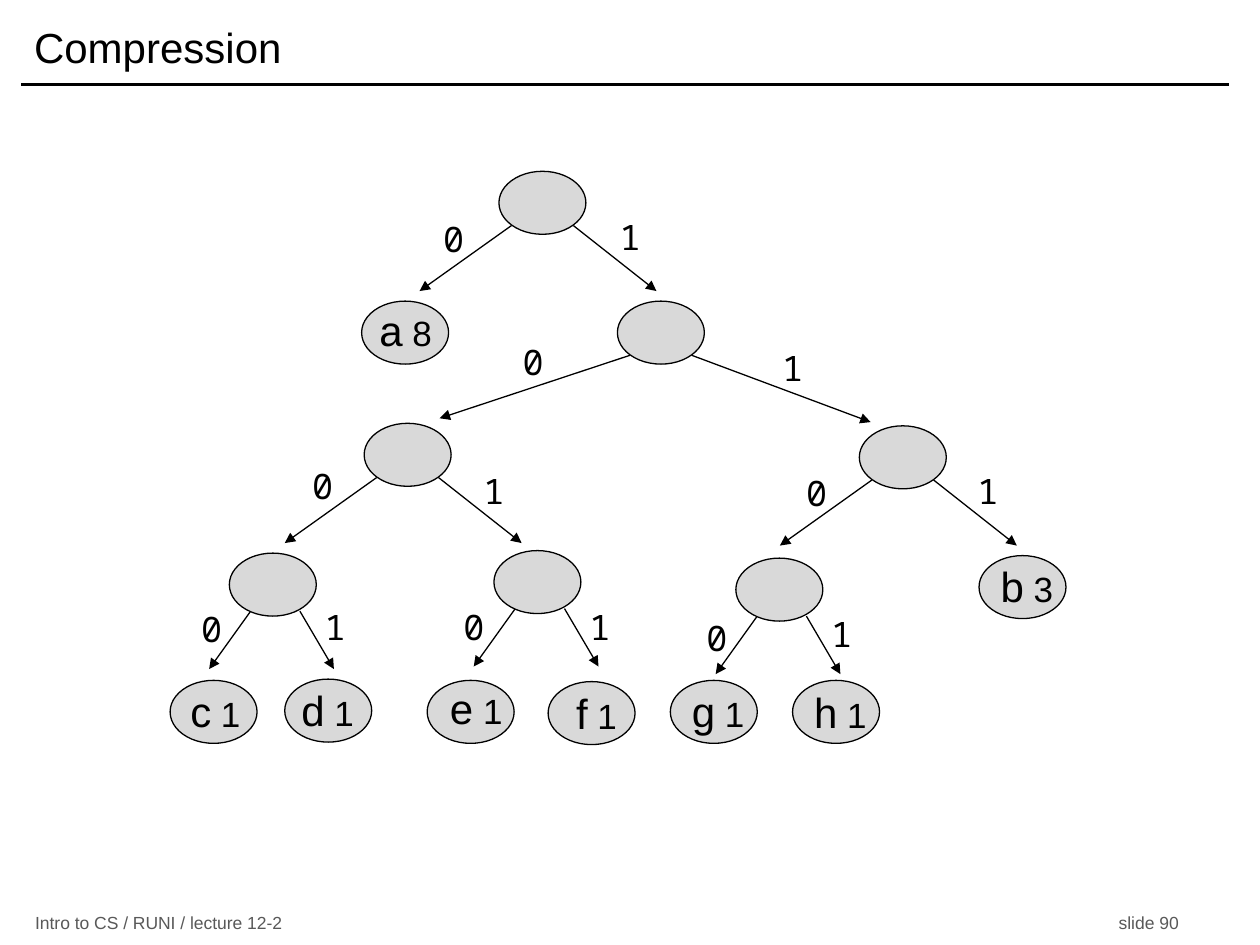
from lxml.etree import SubElement
from pptx import Presentation
from pptx.dml.color import RGBColor
from pptx.enum.shapes import MSO_CONNECTOR as Connector, MSO_SHAPE as Shape
from pptx.enum.text import MSO_ANCHOR as Anchor, MSO_AUTO_SIZE as AutoSize, PP_ALIGN as Align
from pptx.oxml.ns import qn
from pptx.util import Inches, Pt

BLACK = RGBColor(0x00, 0x00, 0x00)
GRAY = RGBColor(0xD9, 0xD9, 0xD9)
FOOTER_GRAY = RGBColor(0x59, 0x59, 0x59)
SANS, MONO = "Arial", "Noto Sans Mono"
NODE_WIDTH, NODE_HEIGHT = 0.69, 0.5

LETTER = {"name": SANS, "size": Pt(24)}
COUNT = {"name": SANS, "size": Pt(20)}
BIT = {"name": MONO, "size": Pt(20)}
FOOTER = {"name": SANS, "size": Pt(10)}

NARROW = [((0.17, 0.46), (-0.16, 0.92)), ((0.56, 0.46), (0.83, 0.92))]
MEDIUM = [((0.10, 0.43), (-0.63, 0.95)), ((0.59, 0.43), (1.25, 0.95))]
WIDE = [((0.10, 0.43), (-1.41, 0.93)), ((0.59, 0.43), (2.01, 0.96))]

BRANCHES = [
    (5.84, 4.43, NARROW, [(-0.31, 0.41), (0.68, 0.38)]),
    (1.82, 4.39, NARROW, [(-0.30, 0.38), (0.68, 0.37)]),
    (3.92, 4.37, NARROW, [(-0.32, 0.39), (0.68, 0.39)]),
    (2.89, 3.36, MEDIUM, [(-0.49, 0.28), (0.87, 0.32)]),
    (6.82, 3.38, MEDIUM, [(-0.50, 0.31), (0.86, 0.30)]),
    (4.90, 2.39, WIDE, [(-0.83, 0.26), (1.23, 0.31)]),
    (3.96, 1.36, MEDIUM, [(-0.52, 0.32), (0.88, 0.30)]),
]

LEAVES = [
    ("c", 1, 1.35, 5.40, (0.06, -0.01, 0.60)),
    ("d", 1, 2.26, 5.39, (0.03, -0.01, 0.62)),
    ("e", 1, 3.39, 5.40, (0.08, -0.03, 0.62)),
    ("f", 1, 4.35, 5.41, (0.12, 0, 0.53)),
    ("g", 1, 5.32, 5.40, (0.07, -0.01, 0.62)),
    ("h", 1, 6.29, 5.40, (0.07, 0, 0.62)),
    ("a", 8, 2.87, 2.39, (0.04, -0.02, 0.62)),
    ("b", 3, 7.77, 4.41, (0.07, -0.01, 0.62)),
]


def set_font(font, style, color=BLACK):
    for name, value in style.items():
        setattr(font, name, value)
    font.color.rgb = color


def add_text(slide, left, top, width, height, runs, frame_format):
    box = slide.shapes.add_textbox(*map(Inches, (left, top, width, height)))
    for name, value in frame_format.items():
        setattr(box.text_frame, name, value)
    paragraph = box.text_frame.paragraphs[0]
    paragraph.alignment = Align.CENTER
    for text, style in runs:
        run = paragraph.add_run()
        run.text = text
        set_font(run.font, style)


def add_line(slide, start, end, weight, arrow=False):
    line = slide.shapes.add_connector(Connector.STRAIGHT, *map(Inches, (*start, *end)))
    line.line.color.rgb = BLACK
    line.line.width = Pt(weight)
    properties = line._element.spPr
    if arrow:
        SubElement(properties.find(qn("a:ln")), qn("a:tailEnd"), type="triangle")
    SubElement(properties, qn("a:effectLst"))


def add_node(slide, left, top):
    node = slide.shapes.add_shape(
        Shape.OVAL, *map(Inches, (left, top, NODE_WIDTH, NODE_HEIGHT)))
    node.shadow.inherit = False
    node.fill.solid()
    node.fill.fore_color.rgb = GRAY
    node.line.color.rgb = BLACK
    node.line.width = Pt(0.75)


def add_leaf(slide, letter, count, left, top, text_box):
    add_node(slide, left, top)
    shift_x, shift_y, width = text_box
    add_text(slide, left + shift_x, top + shift_y, width, NODE_HEIGHT,
             [(letter, LETTER), (f" {count}", COUNT)],
             {"word_wrap": False, "auto_size": AutoSize.SHAPE_TO_FIT_TEXT})


def add_branch(slide, left, top, arrows, labels):
    for start, end in arrows:
        add_line(slide, (left + start[0], top + start[1]),
                 (left + end[0], top + end[1]), 0.75, arrow=True)
    for bit, (shift_x, shift_y) in zip("01", labels):
        add_text(slide, left + shift_x, top + shift_y, 0.32, 0.44, [(bit, BIT)],
                 {"word_wrap": True, "margin_left": 0, "margin_right": 0,
                  "auto_size": AutoSize.SHAPE_TO_FIT_TEXT})
    add_node(slide, left, top)


def add_header(slide, left, top, width, height):
    title = slide.shapes.title
    box = {"left": left, "top": top, "width": width, "height": height}
    for name, value in box.items():
        setattr(title, name, Inches(value))
    frame = title.text_frame
    frame.text = "Compression"
    frame.vertical_anchor = Anchor.MIDDLE
    frame.auto_size = AutoSize.NONE
    frame.paragraphs[0].alignment = Align.LEFT
    set_font(frame.paragraphs[0].font, LETTER)
    line_y = top + height + 0.01
    add_line(slide, (left, line_y), (left + width, line_y), 2)


def add_footer(slide, left, top, width, height):
    frame = slide.shapes.add_textbox(*map(Inches, (left, top, width, height))).text_frame
    frame.word_wrap = True
    frame.vertical_anchor = Anchor.MIDDLE
    paragraph = frame.paragraphs[0]
    paragraph.text = "Intro to CS / RUNI / lecture 12-2\tslide 90"
    tabs = SubElement(paragraph._p.get_or_add_pPr(), qn("a:tabLst"))
    SubElement(tabs, qn("a:tab"), pos=str(Inches(8.6)), algn="l")
    set_font(paragraph.font, FOOTER, FOOTER_GRAY)


def add_tree(slide):
    for leaf in LEAVES:
        add_leaf(slide, *leaf)
    for branch in BRANCHES:
        add_branch(slide, *branch)


def main():
    presentation = Presentation()
    presentation.slide_width = Inches(10)
    presentation.slide_height = Inches(7.5)
    slide = presentation.slides.add_slide(presentation.slide_layouts[5])
    add_header(slide, 0.17, 0.08, 9.58, 0.58)
    add_footer(slide, 0.18, 7.23, 9.42, 0.19)
    add_tree(slide)
    presentation.save("out.pptx")


if __name__ == "__main__":
    main()
